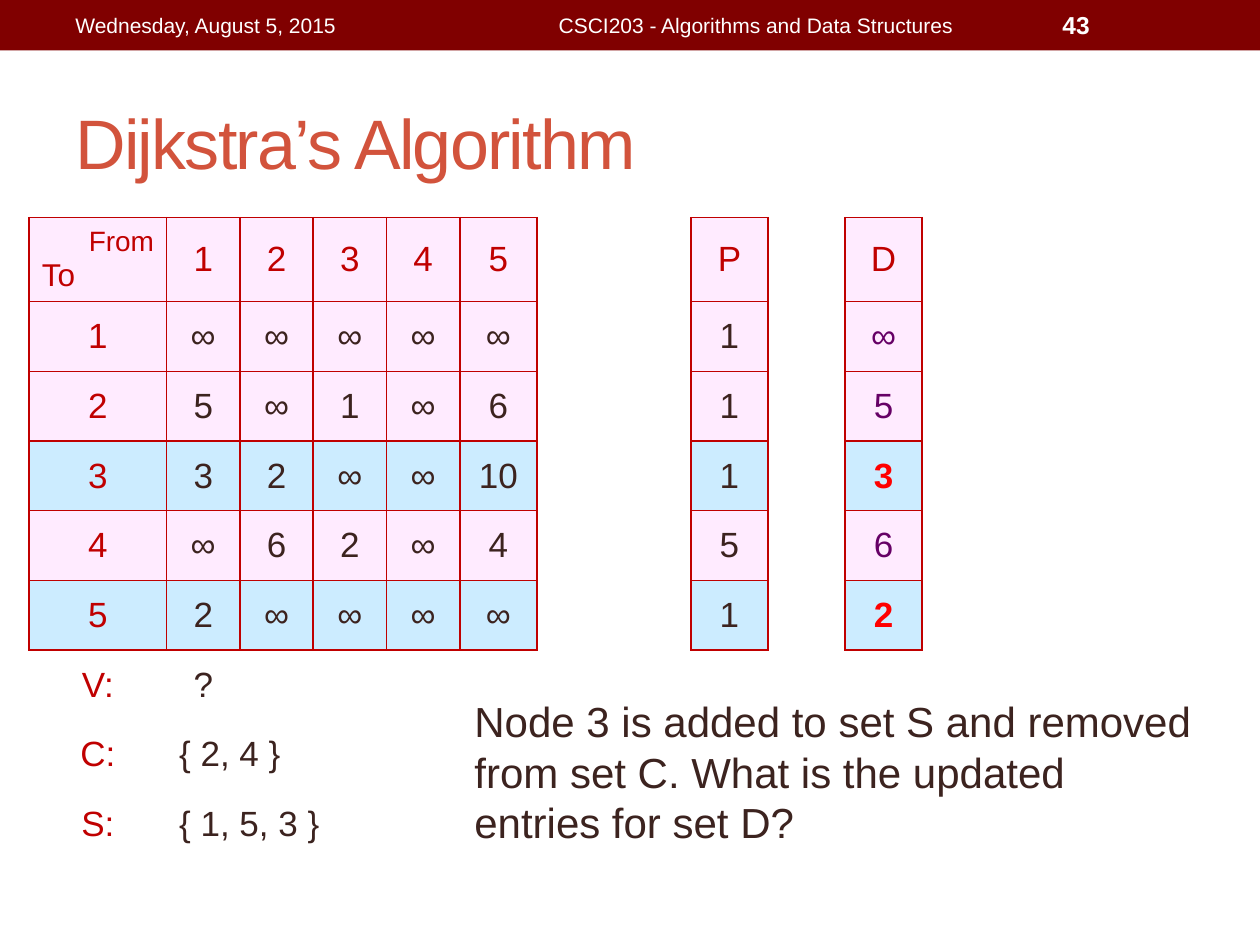
from lxml.etree import SubElement
from pptx import Presentation
from pptx.dml.color import RGBColor
from pptx.enum.shapes import MSO_SHAPE
from pptx.enum.text import MSO_ANCHOR, PP_ALIGN
from pptx.oxml.ns import qn
from pptx.util import Pt

RED, BROWN, PURPLE, WHITE = "C00000", "3C231F", "660066", "FFFFFF"
PINK, BLUE = "FFEBFF", "CCECFF"


def color(value):
    return RGBColor.from_string(value)


def write(frame, text, size=20, ink=BROWN, bold=False, align=PP_ALIGN.LEFT,
          anchor=MSO_ANCHOR.MIDDLE, spacing=0):
    frame.word_wrap = True
    frame.vertical_anchor = anchor
    paragraph = frame.paragraphs[0] if not frame.text else frame.add_paragraph()
    paragraph.alignment = align
    run = paragraph.add_run()
    run.text = text
    run.font.name = "Arial"
    run.font.size = Pt(size)
    run.font.bold = bold
    run.font.color.rgb = color(ink)
    if spacing:
        run._r.get_or_add_rPr().set("spc", str(spacing * 100))


presentation = Presentation()
presentation.slide_width = Pt(720)
presentation.slide_height = Pt(540)
slide = presentation.slides.add_slide(presentation.slide_layouts[6])

banner = slide.shapes.add_shape(MSO_SHAPE.RECTANGLE, 0, 0, Pt(720), Pt(28.8))
banner.shadow.inherit = False
banner.fill.solid()
banner.fill.fore_color.rgb = color("800000")
banner.line.fill.background()

labels = [
    ((36, 42, 648, 78), "Dijkstra’s Algorithm", dict(size=40, ink="D2533C", spacing=-1)),
    ((270, 1.44, 324, 25.92), "CSCI203 - Algorithms and Data Structures",
     dict(size=12, ink=WHITE, align=PP_ALIGN.CENTER)),
    ((600, 1.44, 84, 25.92), "43", dict(size=14, ink=WHITE, bold=True)),
    ((36, 1.44, 228, 25.92), "Wednesday, August 5, 2015", dict(size=12, ink=WHITE)),
    ((264, 394, 428, 94.5),
     "Node 3 is added to set S and removed from set C. What is the updated entries for set D?",
     dict(size=24, anchor=MSO_ANCHOR.TOP)),
]
for place, text, style in labels:
    box = slide.shapes.add_textbox(*[Pt(length) for length in place])
    write(box.text_frame, text, **style)

grid = [
    ["", "1", "2", "3", "4", "5", "", "", "P", "", "D"],
    ["1", "∞", "∞", "∞", "∞", "∞", "", "", "1", "", "∞"],
    ["2", "5", "∞", "1", "∞", "6", "", "", "1", "", "5"],
    ["3", "3", "2", "∞", "∞", "10", "", "", "1", "", "3"],
    ["4", "∞", "6", "2", "∞", "4", "", "", "5", "", "6"],
    ["5", "2", "∞", "∞", "∞", "∞", "", "", "1", "", "2"],
    ["V:", "?"],
    ["C:", "{ 2, 4 }"],
    ["S:", "{ 1, 5, 3 }"],
]
widths = [78.5] + [41.9] * 4 + [44.05] * 6
heights = [47.5] + [39.8] * 8
settled_rows = (3, 5)
distance_column = 10
framed = {(row, column) for row in range(6) for column in (0, 1, 2, 3, 4, 5, 8, 10)}
sides = [("a:lnL", 0, -1), ("a:lnR", 0, 1), ("a:lnT", -1, 0), ("a:lnB", 1, 0)]

matrix = slide.shapes.add_table(9, 11, Pt(16.7), Pt(124.4), Pt(sum(widths)), Pt(sum(heights))).table
matrix.first_row = False
matrix.horz_banding = False
for column, width in enumerate(widths):
    matrix.columns[column].width = Pt(width)
for row, height in enumerate(heights):
    matrix.rows[row].height = Pt(height)
for row in (7, 8):
    matrix.cell(row, 1).merge(matrix.cell(row, 10))

for row in range(9):
    for column in range(11):
        cell = matrix.cell(row, column)
        cell.vertical_anchor = MSO_ANCHOR.MIDDLE
        properties = cell._tc.get_or_add_tcPr()
        for tag, down, right in sides:
            border = SubElement(properties, qn(tag), w=str(Pt(1)))
            if (row, column) in framed or (row + down, column + right) in framed:
                fill = SubElement(border, qn("a:solidFill"))
                SubElement(fill, qn("a:srgbClr"), val=RED)
            else:
                SubElement(border, qn("a:noFill"))
        if (row, column) in framed:
            cell.fill.solid()
            cell.fill.fore_color.rgb = color(BLUE if row in settled_rows else PINK)
        else:
            cell.fill.background()

for row, texts in enumerate(grid):
    for column, text in enumerate(texts):
        if text:
            is_distance = column == distance_column
            is_final = is_distance and row in settled_rows
            if row == 0 or column == 0:
                ink = RED
            elif is_final:
                ink = "FF0000"
            else:
                ink = PURPLE if is_distance else BROWN
            is_set = row > 6 and column == 1
            write(matrix.cell(row, column).text_frame, text, ink=ink, bold=is_final,
                  align=PP_ALIGN.LEFT if is_set else PP_ALIGN.CENTER)

corner = matrix.cell(0, 0).text_frame
write(corner, "From", size=16, ink=RED, align=PP_ALIGN.RIGHT)
write(corner, "To", size=18, ink=RED)

presentation.save("out.pptx")
